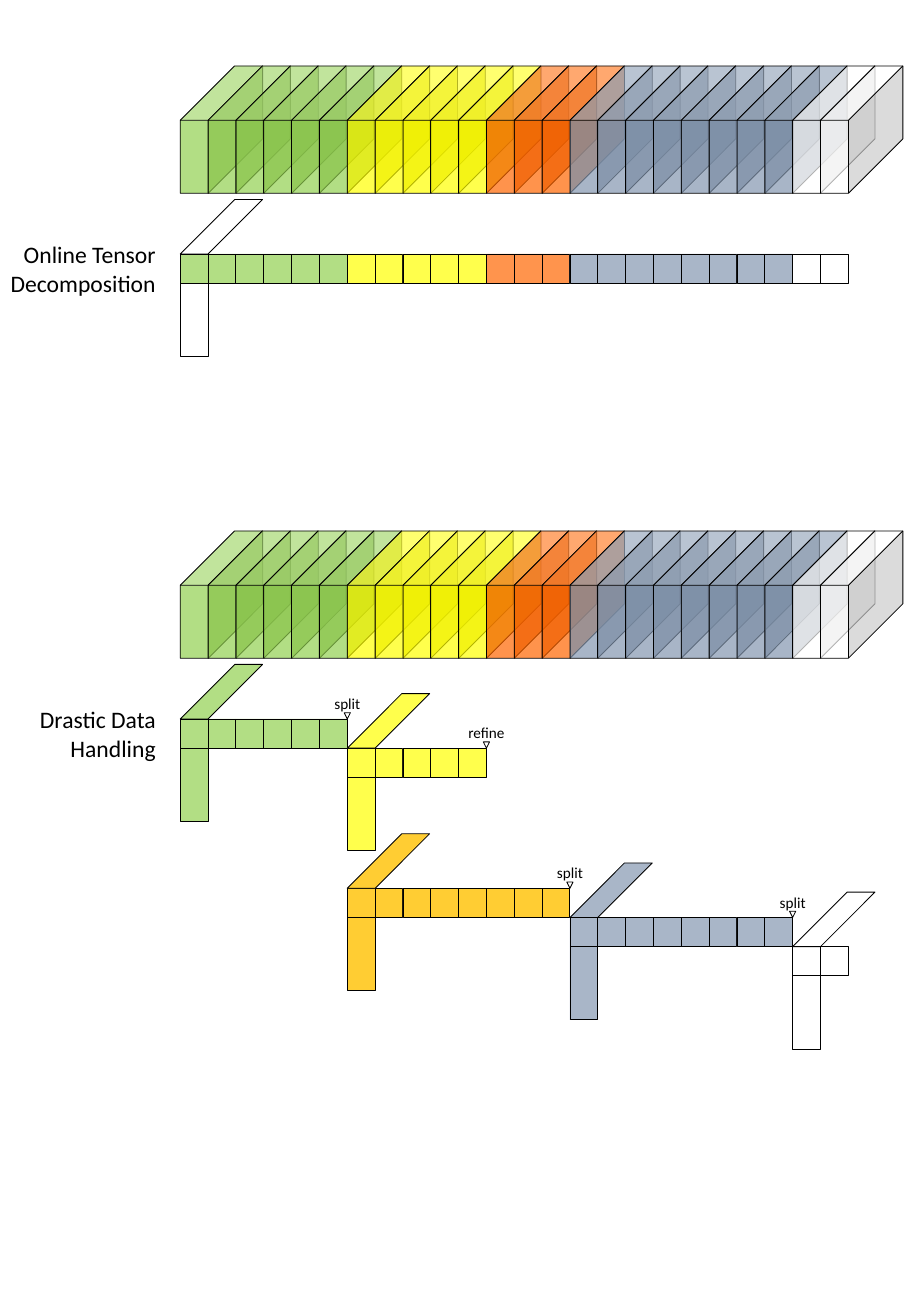
"""Draw a tensor stream with its online and its drastic-change decompositions."""
from dataclasses import dataclass

from lxml.etree import SubElement
from pptx import Presentation
from pptx.dml.color import RGBColor
from pptx.enum.shapes import MSO_SHAPE
from pptx.enum.text import PP_ALIGN
from pptx.oxml.ns import qn
from pptx.util import Cm, Pt


@dataclass(frozen=True)
class Theme:
    """Colours, font and type sizes."""
    ink: str = "000000"
    white: str = "FFFFFF"
    lime: str = "92D050"
    lemon: str = "FFFF00"
    flame: str = "FF6600"
    slate: str = "8497B0"
    green: str = "B2DE84"
    yellow: str = "FFFF4C"
    orange: str = "FF944D"
    amber: str = "FFCD33"
    blue: str = "A9B6C8"
    font: str = "Calibri"
    label: int = 14
    note: int = 9
    line: float = 0.5
    alpha: int = 70


LEFT = 3.77
PITCH = 13.97 / 24
DEPTH = 1.14
CELL = 0.61
POST = 1.53
CUBE = 2.66
DROP = 3.93
TIP = 0.13


def column(index):
    """Return the left edge of a time step."""
    return LEFT + index * PITCH


class Figure:
    """Hold the theme and the slide, and draw each kind of element."""

    def __init__(self, slide, theme):
        """Keep the slide and the theme."""
        self.slide = slide
        self.theme = theme

    def shape(self, kind, x, y, w, h, fill=None, alpha=None, home=None):
        """Add an outlined shape, filled or hollow."""
        shapes = (home or self.slide).shapes
        item = shapes.add_shape(kind, Cm(x), Cm(y), Cm(w), Cm(h))
        item.shadow.inherit = False
        item.line.color.rgb = RGBColor.from_string(self.theme.ink)
        item.line.width = Pt(self.theme.line)
        if fill is None:
            item.fill.background()
            return item
        item.fill.solid()
        item.fill.fore_color.rgb = RGBColor.from_string(fill)
        if alpha:
            tint = item.fill._xPr.find(".//" + qn("a:srgbClr"))
            SubElement(tint, qn("a:alpha"), val=str(alpha * 1000))
        return item

    def text(self, lines, x, y, w, h, size, align, wrap, home=None):
        """Add a text box with one paragraph per line."""
        shapes = (home or self.slide).shapes
        frame = shapes.add_textbox(Cm(x), Cm(y), Cm(w), Cm(h)).text_frame
        frame.word_wrap = wrap
        frame.margin_left = 0 if wrap else frame.margin_left
        frame.text = "\n".join(lines)
        for para in frame.paragraphs:
            para.alignment = align
            para.font.name = self.theme.font
            para.font.size = Pt(size)
            para.font.color.rgb = RGBColor.from_string(self.theme.ink)

    def label(self, lines, y):
        """Name a decomposition at the left margin."""
        self.text(lines, 0, y, 3.51, 1.45, self.theme.label,
                  PP_ALIGN.RIGHT, True)

    def tensor(self, y, runs):
        """Draw the stream of slices as overlapping cubes."""
        fills = [fill for fill, count in runs for _ in range(count)]
        for index, fill in enumerate(fills):
            cube = self.shape(MSO_SHAPE.CUBE, column(index), y,
                              PITCH + DEPTH, CUBE, fill, self.theme.alpha)
            cube.adjustments[0] = 0.66

    def row(self, start, y, count, fill):
        """Draw the cells of a time factor."""
        for index in range(start, start + count):
            self.shape(MSO_SHAPE.RECTANGLE, column(index), y,
                       PITCH, CELL, fill)

    def arms(self, start, y, fill):
        """Draw the slanted and the upright factor of a part."""
        x = column(start)
        slant = self.shape(MSO_SHAPE.PARALLELOGRAM, x, y - DEPTH,
                           PITCH + DEPTH, DEPTH, fill)
        slant.adjustments[0] = 1
        self.shape(MSO_SHAPE.RECTANGLE, x, y + CELL, PITCH, POST, fill)

    def mark(self, word, index, y):
        """Point at the step where a part is split or refined."""
        group = self.slide.shapes.add_group_shape()
        x = column(index)
        self.shape(MSO_SHAPE.FLOWCHART_MERGE, x - TIP / 2, y - TIP,
                   TIP, TIP, home=group)
        self.text([word], x - 0.78, y - 0.64, 1.56, 0.64, self.theme.note,
                  PP_ALIGN.CENTER, False, group)


def main():
    """Build the slide and save it."""
    deck = Presentation()
    deck.slide_width, deck.slide_height = Cm(19.05), Cm(27.51)
    theme = Theme()
    fig = Figure(deck.slides.add_slide(deck.slide_layouts[6]), theme)
    stream = [(theme.lime, 6), (theme.lemon, 5), (theme.flame, 3),
              (theme.slate, 8), (theme.white, 2)]
    cells = [theme.green, theme.yellow, theme.orange, theme.blue, theme.white]

    top = 1.38
    fig.tensor(top, stream)
    start = 0
    for fill, (_, count) in zip(cells, stream):
        fig.row(start, top + DROP, count, fill)
        start += count
    fig.arms(0, top + DROP, theme.white)
    fig.label(["Online Tensor Decomposition"], top + 3.52)

    top = 11.1
    fig.tensor(top, stream)
    first, third = top + DROP, top + 7.47
    parts = [
        (0, first, 6, theme.green, "split"),
        (6, first + CELL, 5, theme.yellow, "refine"),
        (6, third, 8, theme.amber, "split"),
        (14, third + CELL, 8, theme.blue, "split"),
        (22, third + 2 * CELL, 2, theme.white, None),
    ]
    for start, y, count, fill, word in parts:
        fig.row(start, y, count, fill)
        fig.arms(start, y, fill)
        if word:
            fig.mark(word, start + count, y)
    fig.label(["Drastic Data", "Handling"], top + 3.52)
    deck.save("out.pptx")


if __name__ == "__main__":
    main()
